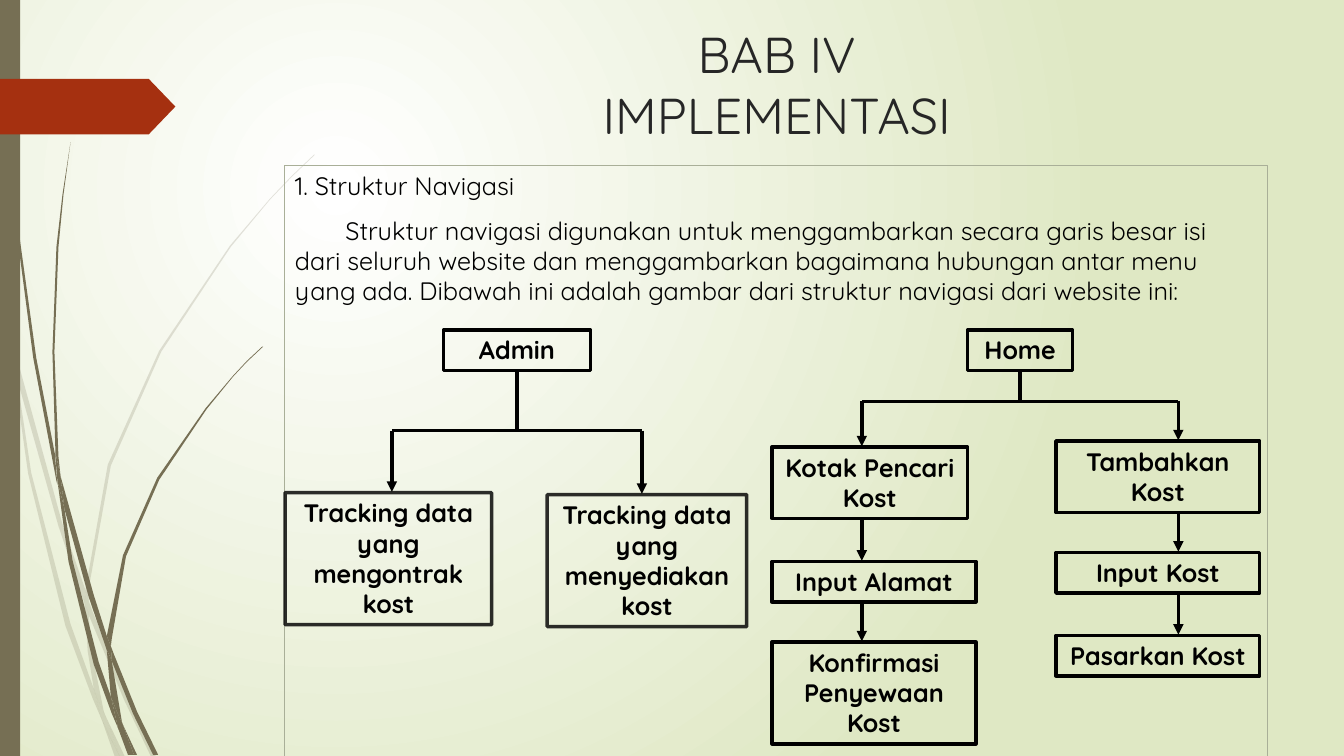
from collections import namedtuple
from dataclasses import dataclass
from lxml.etree import SubElement
from pptx import Presentation
from pptx.dml.color import RGBColor
from pptx.enum.shapes import MSO_CONNECTOR, MSO_SHAPE
from pptx.enum.text import MSO_ANCHOR, MSO_AUTO_SIZE, PP_ALIGN
from pptx.oxml import parse_xml
from pptx.oxml.ns import nsdecls, qn
from pptx.util import Pt

Box = namedtuple("Box", "x y w h")
Node = namedtuple("Node", "text box alpha", defaults=[100])
Stem = namedtuple("Stem", "x nodes")


@dataclass(frozen=True)
class Theme:
    font: str = "Quicksand"
    ink: str = "000000"
    head: str = "262626"
    olive: str = "766F54"
    red: str = "A53010"
    frame: str = "A9AF98"
    glow: str = "FFFFFF"
    edge: str = "DFE8C4"
    big: int = 36
    text: int = 18
    line: float = 2.5
    thin: float = 0.75


theme = Theme()
GRID = Pt(0.72)

PALE = [
    "11,350 9,322 0,282 0,299 10,344",
    "58,522 84,599 85,586 62,520 14,345 17,376",
    "92,607 88,596 88,610 123,694 150,751 155,751 127,692",
    "119,751 124,751 105,711",
    "93,683 70,619 31,469 17,376 11,350 28,470 65,621 92,693 101,714 99,707",
    "84,599 87,646 93,683 96,692 105,711 103,706 91,646 88,610 88,608",
    "88,584 110,462 160,349 229,245 268,198 290,175 312,154 312,153 289,175 268,197 "
    "228,244 158,348 107,461 85,584 85,586 88,596",
    "101,714 114,751 119,751",
    "88,608 88,610 88,596 85,586 84,599",
    "96,692 93,683 99,707 101,714 119,751 105,711",
]
DARK = [
    "7,110 17,233 33,355 56,477 57,481 55,457 55,453 36,355 19,232 8,109 5,48 4,0 3,0 4,48",
    "88,592 106,645 106,633 106,631 93,590 60,472 64,505",
    "113,649 110,641 111,656 132,708 152,749 157,749 136,706",
    "110,691 98,657 72,556 64,505 57,477 68,557 93,659 111,708 117,722 116,717",
    "60,472 58,453 54,349 58,245 63,193 70,141 62,193 56,245 52,349 55,449",
    "133,749 136,749 122,719",
    "57,477 64,505 60,472 55,449 55,453",
    "111,633 125,552 158,476 205,406 231,374 245,359 261,344 260,344 245,358 231,373 "
    "204,405 156,474 122,551 106,631 110,641",
    "117,722 127,749 131,749",
    "106,645 110,691 116,706 122,719 121,716 111,656 109,651",
    "106,645 109,651 111,656 110,641 106,631 106,633",
    "116,706 110,691 116,717 117,722 130,749 133,749 122,719",
]


def shade(fill, color, alpha=100):
    fill.solid()
    fill.fore_color.rgb = RGBColor.from_string(color)
    if alpha < 100:
        tint = fill._xPr.find(".//" + qn("a:srgbClr"))
        SubElement(tint, qn("a:alpha"), val=str(alpha * 1000))


def stroke(line, color, width, alpha=100):
    line.width = Pt(width)
    shade(line.fill, color, alpha)


def flat(shape, color, alpha=100):
    shape.shadow.inherit = False
    shade(shape.fill, color, alpha)
    shape.line.fill.background()


def write(para, text, size, color, bold=False):
    for i, part in enumerate(text.split("\n")):
        if i:
            para.add_line_break()
        run = para.add_run()
        run.text = part
        font = run.font
        font.name, font.size, font.bold = theme.font, Pt(size), bold
        font.color.rgb = RGBColor.from_string(color)


def hold(slide, shape, box, anchor=MSO_ANCHOR.TOP):
    slide.shapes.element.append(shape.element)
    shape.left, shape.top, shape.width, shape.height = map(Pt, box)
    frame = shape.text_frame
    frame.auto_size, frame.vertical_anchor = MSO_AUTO_SIZE.NONE, anchor
    return frame


def paint(slide):
    stops = "".join(
        f'<a:gs pos="{pos}"><a:srgbClr val="{color}"/></a:gs>'
        for pos, color in ((0, theme.glow), (100000, theme.edge)))
    fill = parse_xml(
        f'<a:gradFill {nsdecls("a")} rotWithShape="1"><a:gsLst>{stops}</a:gsLst>'
        '<a:path path="circle"><a:fillToRect l="50000" t="50000" r="100000" b="100000"/>'
        '</a:path></a:gradFill>')
    slide.background.fill.solid()
    solid = slide.background._cSld.find(".//" + qn("a:solidFill"))
    solid.getparent().replace(solid, fill)


def blade(group, area, rim, alpha):
    spots = [tuple(map(int, spot.split(","))) for spot in rim.split()]
    form = group.shapes.build_freeform(*spots[0], scale=GRID)
    form.add_line_segments(spots[1:])
    flat(form.convert_to_shape(Pt(area.x), Pt(area.y)), theme.olive, alpha)


def grass(slide, area):
    for rims, alpha in ((PALE, 20), (DARK, 100)):
        group = slide.shapes.add_group_shape()
        for rim in rims:
            blade(group, area, rim, alpha)
    flag = Box(area.x, area.y + 56.3, 125.3, 39.7)
    side = Box(area.x, area.y, 14.4, area.h)
    for kind, box, color in ((MSO_SHAPE.RECTANGLE, side, theme.olive),
                             (MSO_SHAPE.PENTAGON, flag, theme.red)):
        shape = slide.shapes.add_shape(kind, *map(Pt, box))
        flat(shape, color)
    shape.adjustments[0] = 0.48


def title(slide, area, text):
    frame = hold(slide, slide.shapes.title, area)
    para = frame.paragraphs[0]
    para.alignment = PP_ALIGN.CENTER
    write(para, text, theme.big, theme.head)


def body(slide, area, items):
    shape = slide.placeholders[1]
    frame = hold(slide, shape, area)
    stroke(shape.line, theme.frame, theme.thin)
    for i, (text, indent) in enumerate(items):
        para = frame.add_paragraph() if i else frame.paragraphs[0]
        para.space_before = Pt(10)
        prop = para._p.get_or_add_pPr()
        prop.set("marL", "0")
        prop.set("indent", str(Pt(indent)))
        SubElement(prop, qn("a:buNone"))
        write(para, text, theme.text, theme.ink)


def link(slide, area, start, end, arrow=False):
    spots = [Pt(v) for x, y in (start, end) for v in (area.x + x, area.y + y)]
    wire = slide.shapes.add_connector(MSO_CONNECTOR.STRAIGHT, *spots)
    stroke(wire.line, theme.ink, theme.line)
    if arrow:
        SubElement(wire.line._get_or_add_ln(), qn("a:tailEnd"), type="triangle")
    SubElement(wire._element.spPr, qn("a:effectLst"))


def card(slide, area, node):
    x, y, w, h = node.box
    shape = slide.shapes.add_shape(
        MSO_SHAPE.RECTANGLE, Pt(area.x + x), Pt(area.y + y), Pt(w), Pt(h))
    shape.shadow.inherit = False
    shape.fill.background()
    stroke(shape.line, theme.ink, theme.line, node.alpha)
    frame = shape.text_frame
    frame.word_wrap, frame.vertical_anchor = True, MSO_ANCHOR.TOP
    para = frame.paragraphs[0]
    para.alignment = PP_ALIGN.CENTER
    write(para, node.text, theme.text, theme.ink, True)


def tree(slide, area, root, bar, stems):
    mid = root.box.x + root.box.w / 2
    card(slide, area, root)
    link(slide, area, (mid, root.box.y + root.box.h), (mid, bar))
    for stem in stems:
        link(slide, area, (mid, bar), (stem.x, bar))
        low = bar
        for node in stem.nodes:
            link(slide, area, (stem.x, low), (stem.x, node.box.y - 0.5), True)
            card(slide, area, node)
            low = node.box.y + node.box.h


deck = Presentation()
deck.slide_width, deck.slide_height = Pt(960), Pt(540)
slide = deck.slides.add_slide(deck.slide_layouts[1])
paint(slide)
grass(slide, Box(0, 0, 225, 540))
title(slide, Box(203.8, 13, 702, 100.8), "BAB IV\nIMPLEMENTASI")
body(slide, Box(203.5, 118.3, 702, 426.2), [
    ("1. Struktur Navigasi", 0),
    ("Struktur navigasi digunakan untuk menggambarkan secara garis besar isi dari "
     "seluruh website dan menggambarkan bagaimana hubungan antar menu yang ada. "
     "Dibawah ini adalah gambar dari struktur navigasi dari website ini:", 36)])
tree(slide, Box(203.6, 235.6, 330, 213), Node("Admin", Box(113.2, 0, 105, 29)), 72, [
    Stem(76.3, [Node("Tracking data yang mengontrak kost", Box(0, 116.3, 147.6, 94.3), 82)]),
    Stem(254.9, [Node("Tracking data yang menyediakan kost", Box(187.2, 117.7, 142.6, 94.3), 82)])])
tree(slide, Box(551.5, 235.6, 349, 296), Node("Home", Box(139.7, 0, 75, 29)), 51.2, [
    Stem(64.1, [Node("Kotak Pencari Kost", Box(0, 83.7, 139.7, 51)),
                Node("Input Alamat", Box(0, 165.4, 145.6, 29)),
                Node("Konfirmasi Penyewaan Kost", Box(0, 223, 145.6, 72.7))]),
    Stem(290.2, [Node("Tambahkan Kost", Box(202.8, 79.4, 145.6, 51)),
                 Node("Input Kost", Box(202.8, 159, 145.6, 29)),
                 Node("Pasarkan Kost", Box(202.8, 218.2, 145.6, 29))])])
deck.save("out.pptx")
